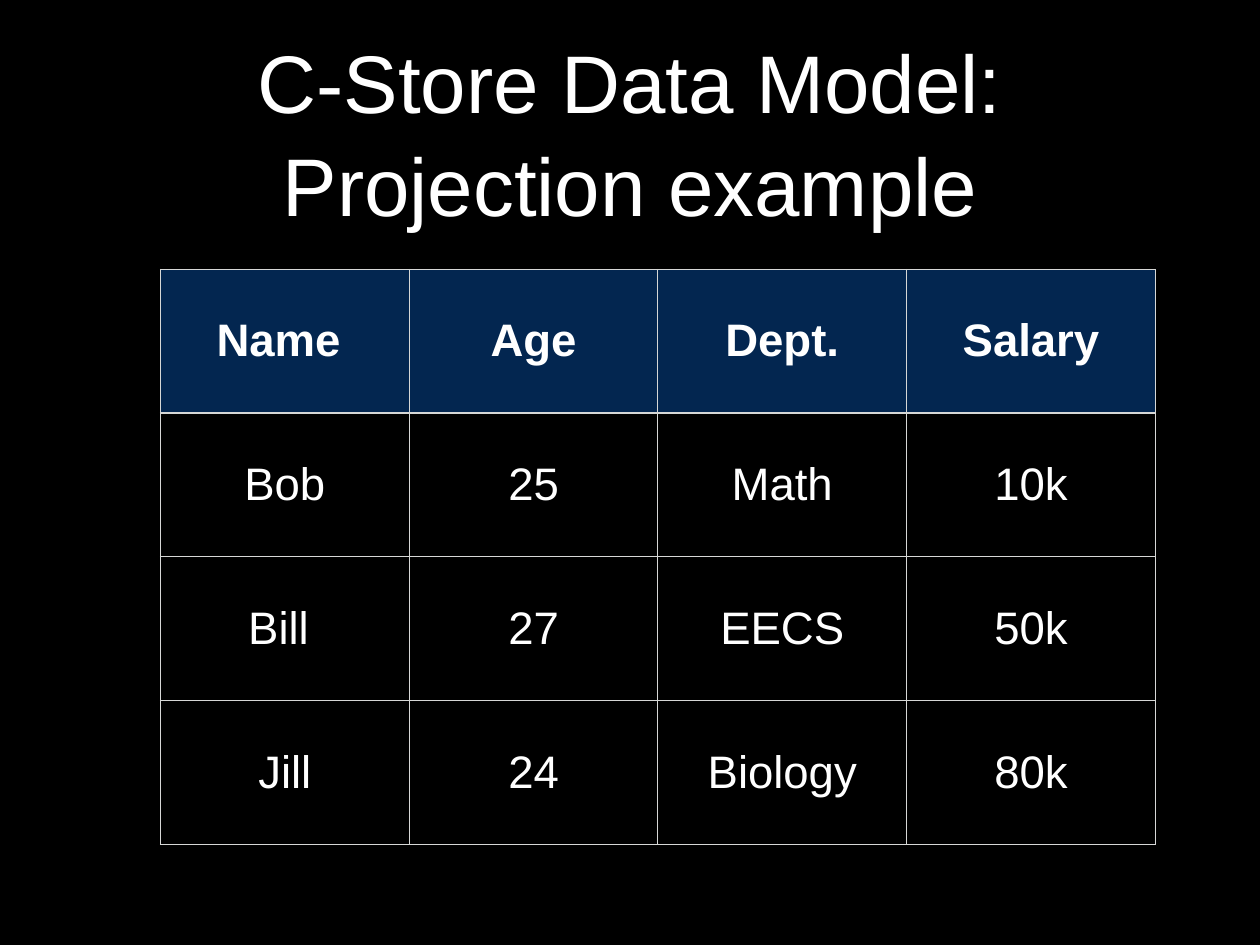
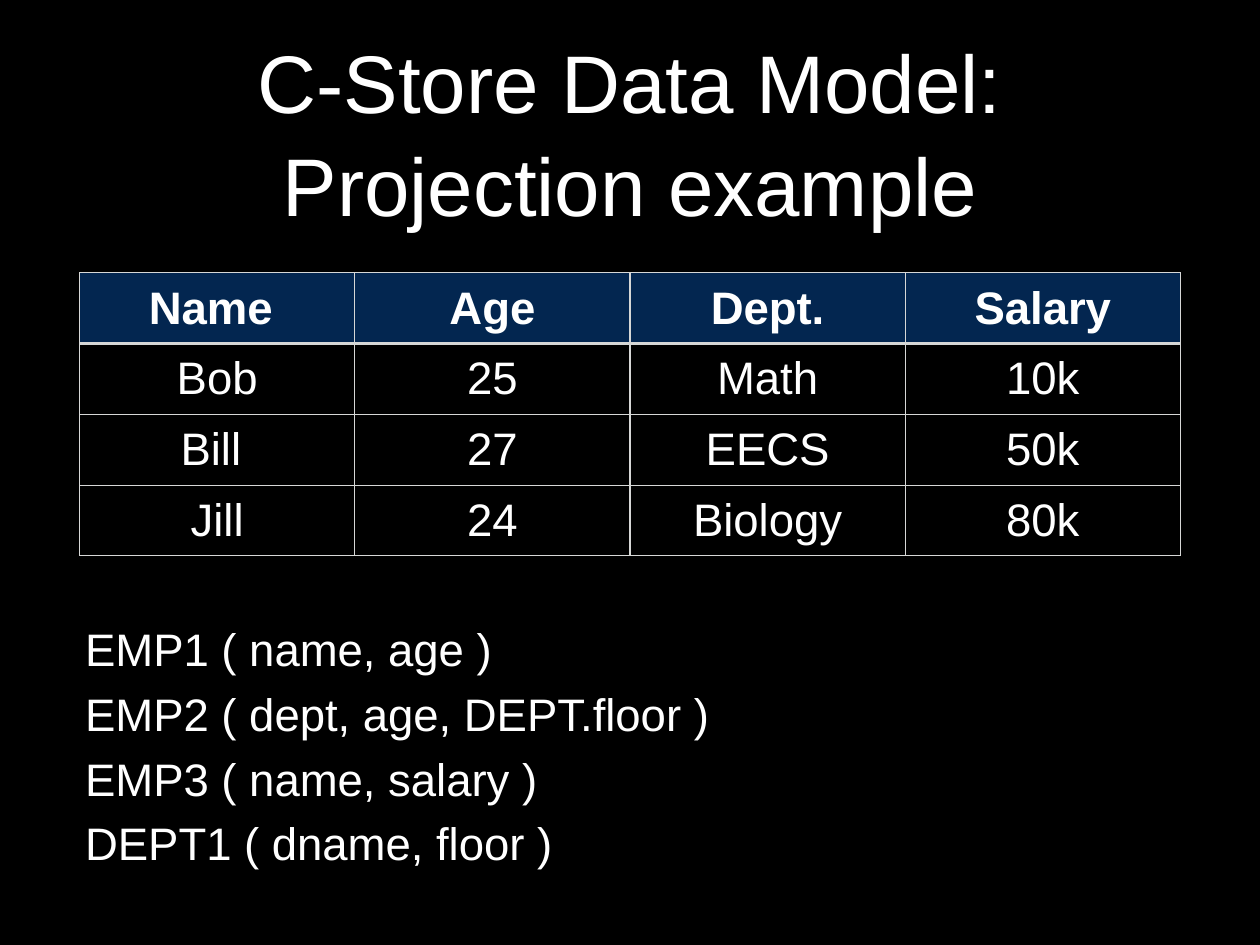
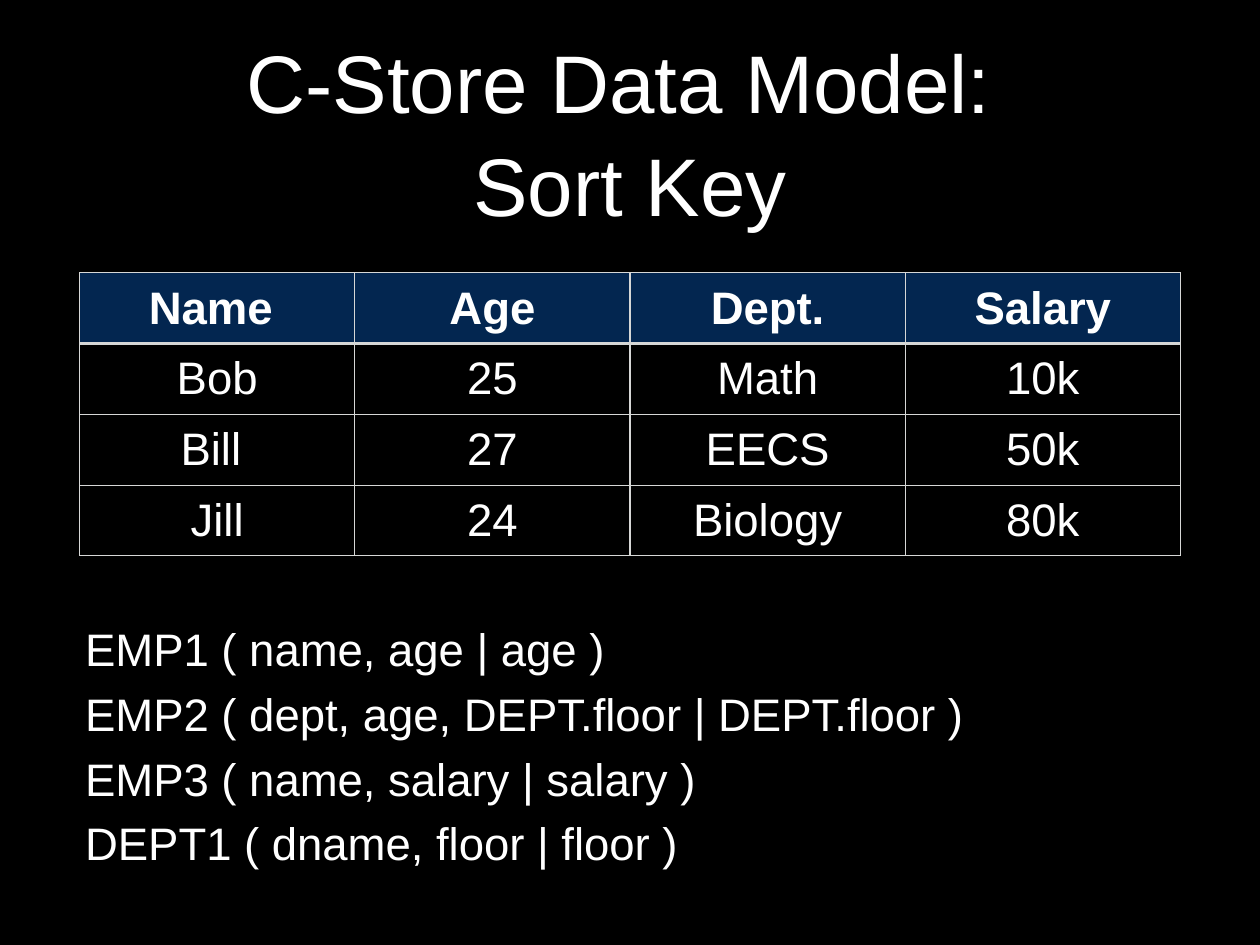
from dataclasses import dataclass

from lxml import etree
from pptx import Presentation
from pptx.dml.color import RGBColor
from pptx.enum import text
from pptx.oxml import ns
from pptx.util import Cm, Pt

COLORS = {"background": "000000", "text": "FFFFFF", "header": "032650", "border": "D6D7D6"}
FONT = "Arial"
TITLE_SIZE = 66.4
BODY_SIZE = 37
INSET = Cm(0.14)
TITLE_ONLY = 5

EMPLOYEES = [
    ["Name ", "Age", "Dept.", "Salary"],
    ["Bob", "25", "Math", "10k"],
    ["Bill ", "27", "EECS", "50k"],
    ["Jill", "24", "Biology", "80k"],
]


@dataclass(frozen=True)
class Grid:
    left: float
    top: float
    col_width: float
    row_height: float


@dataclass(frozen=True)
class Page:
    title: str
    grid: Grid
    projections: tuple[str, ...] = ()


LARGE = Grid(4.6, 7.72, 7.13, 4.12)
SMALL = Grid(2.28, 7.82, 7.89, 2.03)

PAGES = [
    Page("C-Store Data Model: Projection example", LARGE),
    Page("C-Store Data Model: Projection example", SMALL, (
        "EMP1 ( name, age )",
        "EMP2 ( dept, age, DEPT.floor )",
        "EMP3 ( name, salary )",
        "DEPT1 ( dname, floor )",
    )),
    Page("C-Store Data Model: \nSort Key", SMALL, (
        "EMP1 ( name, age | age )",
        "EMP2 ( dept, age, DEPT.floor | DEPT.floor )",
        "EMP3 ( name, salary | salary )",
        "DEPT1 ( dname, floor | floor )",
    )),
]


def rgb(name: str) -> RGBColor:
    return RGBColor.from_string(COLORS[name])


def write(tf, content: str, size: float, align, bold: bool = False,
          spacing: float = 1.0, before: float = 0) -> None:
    """Fill a text frame, one paragraph per line, and format it."""
    tf.text = content
    tf.word_wrap = True
    for p in tf.paragraphs:
        p.alignment = align
        p.line_spacing = spacing
        p.space_before = Pt(before)
        for r in p.runs:
            r.font.name = FONT
            r.font.size = Pt(size)
            r.font.bold = bold
            r.font.color.rgb = rgb("text")


def set_insets(box, inset: int) -> None:
    box.margin_left = box.margin_right = box.margin_top = box.margin_bottom = inset


def add_title(s, title: str) -> None:
    sp = s.shapes.title
    sp.left, sp.top, sp.width, sp.height = Cm(2.64), Cm(0.71), Cm(30.84), Cm(6)
    tf = sp.text_frame
    write(tf, title, TITLE_SIZE, text.PP_ALIGN.CENTER, spacing=1.05)
    tf.auto_size = text.MSO_AUTO_SIZE.NONE
    tf.vertical_anchor = text.MSO_ANCHOR.MIDDLE
    set_insets(tf, INSET)


def set_border(cell, side: str, width: float) -> None:
    tc_pr = cell._tc.get_or_add_tcPr()
    ln = etree.SubElement(tc_pr, ns.qn(f"a:ln{side}"), w=str(Pt(width)))
    fill = etree.SubElement(ln, ns.qn("a:solidFill"))
    etree.SubElement(fill, ns.qn("a:srgbClr"), val=COLORS["border"])


def add_employees(s, grid: Grid) -> None:
    rows, cols = len(EMPLOYEES), len(EMPLOYEES[0])
    table = s.shapes.add_table(
        rows, cols, Cm(grid.left), Cm(grid.top),
        Cm(grid.col_width * cols), Cm(grid.row_height * rows)).table
    table.horz_banding = False
    for i, values in enumerate(EMPLOYEES):
        header = i == 0
        for j, value in enumerate(values):
            cell = table.cell(i, j)
            write(cell.text_frame, value, BODY_SIZE, text.PP_ALIGN.CENTER, bold=header)
            cell.vertical_anchor = text.MSO_ANCHOR.MIDDLE
            set_insets(cell, INSET)
            for side in "LRTB":
                thick = (header and side == "B") or (i == 1 and side == "T")
                set_border(cell, side, 2 if thick else 1)
            if header:
                cell.fill.solid()
                cell.fill.fore_color.rgb = rgb("header")
            else:
                cell.fill.background()


def add_projections(s, projections: tuple[str, ...]) -> None:
    tf = s.shapes.add_textbox(Cm(2.44), Cm(17.02), Cm(31.24), Cm(9.17)).text_frame
    write(tf, "\n".join(projections), BODY_SIZE, text.PP_ALIGN.LEFT, spacing=0.62, before=25)
    tf.vertical_anchor = text.MSO_ANCHOR.MIDDLE
    set_insets(tf, 0)


def main() -> None:
    prs = Presentation()
    prs.slide_width, prs.slide_height = Cm(36.12), Cm(27.09)
    background = prs.slide_master.background.fill
    background.solid()
    background.fore_color.rgb = rgb("background")
    for page in PAGES:
        s = prs.slides.add_slide(prs.slide_layouts[TITLE_ONLY])
        add_title(s, page.title)
        add_employees(s, page.grid)
        if page.projections:
            add_projections(s, page.projections)
    prs.save("out.pptx")


if __name__ == "__main__":
    main()
